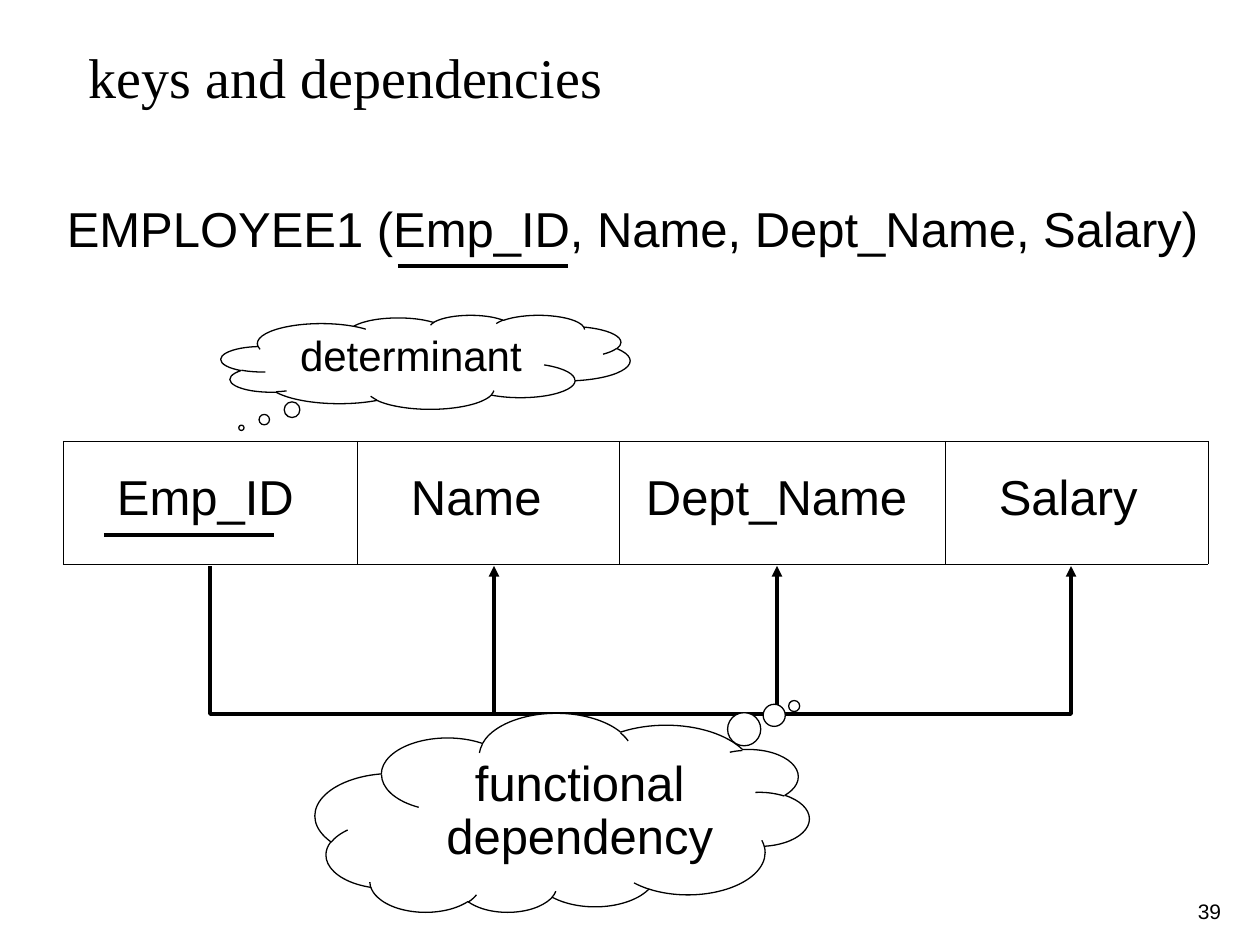
from lxml import etree
from pptx import Presentation
from pptx.dml.color import RGBColor
from pptx.enum.shapes import MSO_CONNECTOR as Conn, MSO_SHAPE as Shape
from pptx.enum.text import MSO_ANCHOR as Anchor, MSO_AUTO_SIZE as Fit
from pptx.enum.text import PP_ALIGN as Align
from pptx.oxml import parse_xml
from pptx.oxml.ns import qn, nsdecls
from pptx.util import Pt

PX = 914400 / 126
INK, PAPER = "000000", "FFFFFF"


def px(*nums):
    return [round(n * PX) for n in nums]


def put(frame, text, size, font="Arial", align=Align.LEFT, gap=0.9):
    frame.text = text
    para = frame.paragraphs[0]
    para.alignment = align
    para.line_spacing = gap
    run = para.runs[0].font
    run.name, run.size = font, Pt(size)
    run.color.rgb = RGBColor.from_string(INK)


deck = Presentation()
deck.slide_width, deck.slide_height = px(1260, 945)
slide = deck.slides.add_slide(deck.slide_layouts[6])
shapes = slide.shapes

# Title, relation and page number
for text, box, size, font, align, gap, wrap, pad in [
    ("39", (1178, 895, 63, 35), 12, "Arial", Align.CENTER, 0.9, True, (13, 6)),
    ("keys and dependencies", (89, 42, 1045, 130), 32, "Times New Roman",
     Align.LEFT, 1.0, True, (0, 0)),
    ("EMPLOYEE1 (Emp_ID, Name, Dept_Name, Salary)", (54, 199, 1157, 66), 28,
     "Arial", Align.CENTER, 0.9, False, (4, 6)),
]:
    frame = shapes.add_textbox(*px(*box)).text_frame
    frame.word_wrap = wrap
    frame.auto_size = Fit.NONE if wrap else Fit.SHAPE_TO_FIT_TEXT
    frame.margin_left, frame.margin_top = px(*pad)
    frame.margin_right, frame.margin_bottom = px(*pad)
    put(frame, text, size, font, align, gap)

# Table of attributes
cols = [("Emp_ID", 294, 54), ("Name", 262, 54),
        ("Dept_Name", 326, 27), ("Salary", 263, 54)]
grid = shapes.add_table(1, len(cols), *px(63, 441, 1145, 123)).table
grid.first_row = grid.horz_banding = False
for i, (name, wide, left) in enumerate(cols):
    grid.columns[i].width = px(wide)[0]
    cell = grid.cell(0, i)
    cell.vertical_anchor = Anchor.MIDDLE
    cell.margin_left, cell.margin_right = px(left, 0)
    put(cell.text_frame, name, 28, gap=0.81)
    props = cell._tc.get_or_add_tcPr()
    for side in ("lnL", "lnR", "lnT", "lnB"):
        props.append(parse_xml(
            f'<a:{side} {nsdecls("a")} w="1270"><a:solidFill>'
            f'<a:srgbClr val="{INK}"/></a:solidFill></a:{side}>'))
    cell.fill.background()

# Key underlines, then the dependency arrows
lines = []
for x1, y1, x2, y2, tip in [(398, 266, 568, 266, False),
                            (104, 535, 274, 535, False),
                            (494, 714, 494, 566, True),
                            (777, 714, 777, 566, True)]:
    line = shapes.add_connector(Conn.STRAIGHT, *px(x1, y1, x2, y2))
    etree.SubElement(line._element.spPr, qn("a:effectLst"))
    lines.append((line, tip))

pen = shapes.build_freeform(210, 566, scale=PX)
pen.add_line_segments([(210, 714), (1071, 714), (1071, 566)], close=False)
route = pen.convert_to_shape()
route.shadow.inherit = False
route.fill.background()
lines.append((route, True))

for shape, tip in lines:
    shape.line.width = Pt(2)
    shape.line.color.rgb = RGBColor.from_string(INK)
    if tip:
        etree.SubElement(shape.line._get_or_add_ln(), qn("a:tailEnd"),
                         type="triangle")

# Thought clouds
for text, box, size, turn, tail in [
    ("functional dependency", (315, 714, 494, 199), 28, 180, (-0.47, 0.54)),
    ("determinant", (221, 315, 409, 94), 24, 0, (-0.45, 0.7)),
]:
    cloud = shapes.add_shape(Shape.CLOUD_CALLOUT, *px(*box))
    cloud.shadow.inherit = False
    cloud.rotation = turn
    cloud.adjustments[0], cloud.adjustments[1] = tail
    cloud.fill.solid()
    cloud.fill.fore_color.rgb = RGBColor.from_string(PAPER)
    cloud.line.color.rgb = RGBColor.from_string(INK)
    cloud.line.width = Pt(0.75)
    frame = cloud.text_frame
    frame.word_wrap = True
    frame.vertical_anchor = Anchor.TOP
    put(frame, text, size, align=Align.CENTER)
    if turn:
        # Keep the words upright
        frame._txBody.bodyPr.set("rot", str(turn * 60000))

deck.save("out.pptx")
